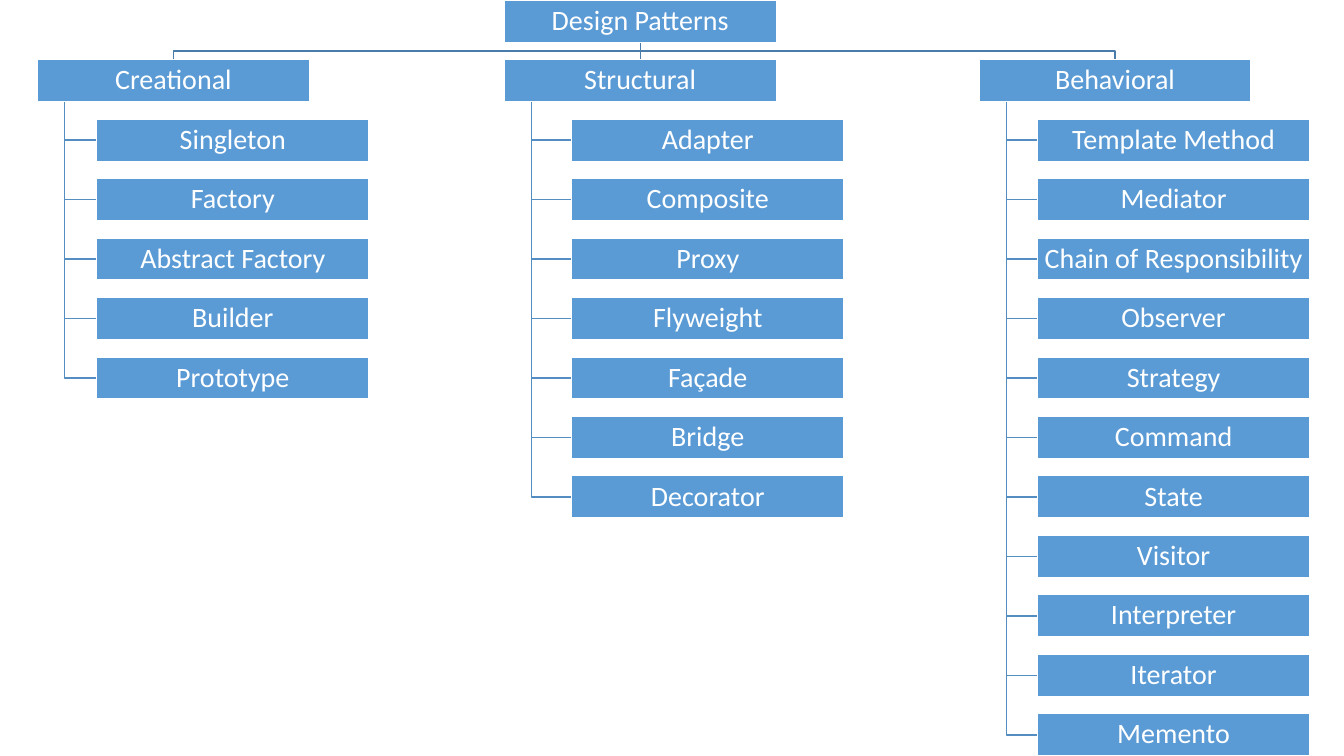
import pptx
import pptx.util
import pptx.dml.color
import pptx.enum.shapes
import pptx.enum.text
import lxml.etree

ROOT = "Design Patterns"
GROUPS = [
    ("Creational", 0.37, 0.96,
     ["Singleton", "Factory", "Abstract Factory", "Builder", "Prototype"]),
    ("Structural", 5, 5.67,
     ["Adapter", "Composite", "Proxy", "Flyweight", "Façade", "Bridge",
      "Decorator"]),
    ("Behavioral", 9.71, 10.29,
     ["Template Method", "Mediator", "Chain of Responsibility", "Observer",
      "Strategy", "Command", "State", "Visitor", "Interpreter", "Iterator",
      "Memento"]),
]
COLORS = {"box": "5B9BD5", "text": "FFFFFF", "trunk": "497CAB",
          "branch": "538DC1"}
WIDE, HIGH = 13.33, 7.5
BOX_W, BOX_H = 2.7, 0.42
ROOT_X = 5
ROWS = 1 + max(1 + len(names) for _, _, _, names in GROUPS)
STEP = (HIGH - BOX_H) / (ROWS - 1)
INSET = BOX_W / 10

inch = pptx.util.Inches


def color(key):
    """Look up a named colour."""
    return pptx.dml.color.RGBColor.from_string(COLORS[key])


def stroke(line, key):
    """Set a one-point line."""
    line.color.rgb = color(key)
    line.width = pptx.util.Pt(1)


def link(slide, points, key):
    """Join points with a straight or bent line."""
    dots = [(inch(x), inch(y)) for x, y in points]
    if len({x for x, _ in dots}) == 1:
        wire = slide.shapes.add_connector(
            pptx.enum.shapes.MSO_CONNECTOR.STRAIGHT, *dots[0], *dots[-1])
        stroke(wire.line, key)
        lxml.etree.SubElement(wire.element.spPr,
                              pptx.oxml.ns.qn("a:effectLst"))
        return
    pen = slide.shapes.build_freeform(*dots[0], scale=1.0)
    pen.add_line_segments(dots[1:], close=False)
    wire = pen.convert_to_shape()
    wire.fill.background()
    wire.shadow.inherit = False
    stroke(wire.line, key)


def box(slide, text, left, row):
    """Draw one labelled box on a row."""
    shape = slide.shapes.add_shape(
        pptx.enum.shapes.MSO_SHAPE.RECTANGLE,
        inch(left), inch(row * STEP), inch(BOX_W), inch(BOX_H))
    shape.shadow.inherit = False
    shape.fill.solid()
    shape.fill.fore_color.rgb = color("box")
    stroke(shape.line, "text")
    frame = shape.text_frame
    frame.word_wrap = True
    frame.vertical_anchor = pptx.enum.text.MSO_ANCHOR.MIDDLE
    for side in ("left", "right", "top", "bottom"):
        setattr(frame, "margin_" + side, inch(0.01))
    para = frame.paragraphs[0]
    para.alignment = pptx.enum.text.PP_ALIGN.CENTER
    para.line_spacing = 0.9
    run = para.add_run()
    run.text = text
    run.font.name = "Calibri"
    run.font.size = pptx.util.Pt(20)
    run.font.color.rgb = color("text")


def main():
    """Build the pattern tree."""
    deck = pptx.Presentation()
    deck.slide_width, deck.slide_height = inch(WIDE), inch(HIGH)
    slide = deck.slides.add_slide(deck.slide_layouts[6])

    mid = ROOT_X + BOX_W / 2
    bend = (BOX_H + STEP) / 2
    for _, head, leaf, names in reversed(GROUPS):
        stem = head + INSET
        for row in range(len(names) + 1, 1, -1):
            turn = row * STEP + BOX_H / 2
            link(slide, [(stem, STEP + BOX_H), (stem, turn), (leaf, turn)],
                 "branch")
        end = head + BOX_W / 2
        link(slide, [(mid, BOX_H), (mid, bend), (end, bend), (end, STEP)],
             "trunk")

    box(slide, ROOT, ROOT_X, 0)
    for title, head, leaf, names in GROUPS:
        box(slide, title, head, 1)
        for row, name in enumerate(names, 2):
            box(slide, name, leaf, row)

    deck.save("out.pptx")


main()
